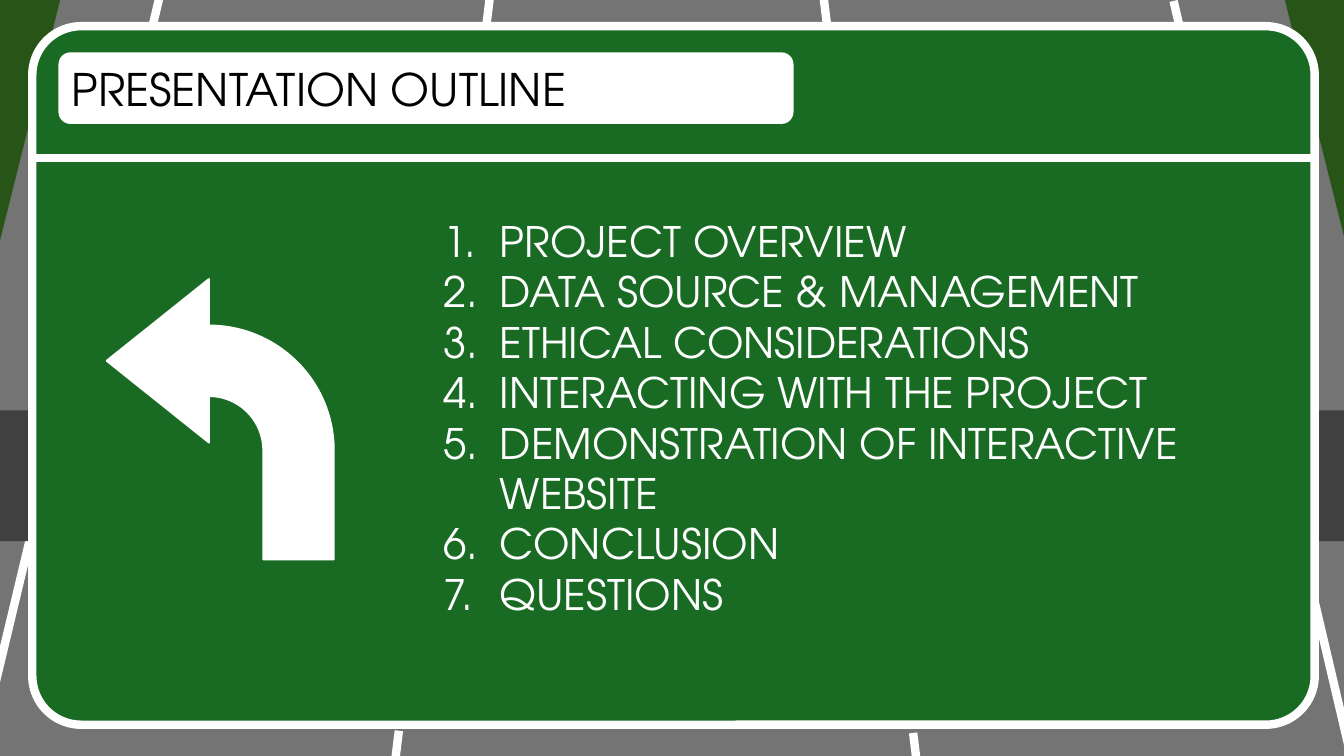
"""Builds the presentation outline slide: a green road sign above a highway."""
import lxml.etree
import pptx
import pptx.dml.color
import pptx.enum.shapes
import pptx.enum.text
import pptx.oxml.ns
import pptx.util

SHAPES = pptx.enum.shapes.MSO_SHAPE
WHITE = "FFFFFF"
FONT = "TeX Gyre Adventor"

deck = pptx.Presentation()
deck.slide_width = pptx.util.Inches(13.33)
deck.slide_height = pptx.util.Inches(7.5)
slide = deck.slides.add_slide(deck.slide_layouts[6])
across, down = deck.slide_width / 100, deck.slide_height / 100


def paint(format_part, color):
    """Give a fill, line fill or font fill one solid hex colour."""
    format_part.solid()
    format_part.fore_color.rgb = pptx.dml.color.RGBColor.from_string(color)


def add_panel(kind, left, top, width, height, color, outline=0, adjustments=()):
    """Add a preset shape, placed in percent of the slide."""
    panel = slide.shapes.add_shape(
        kind, int(left * across), int(top * down), int(width * across), int(height * down))
    panel.shadow.inherit = False
    paint(panel.fill, color)
    if outline:
        paint(panel.line.fill, WHITE)
        panel.line.width = pptx.util.Pt(outline)
    else:
        panel.line.fill.background()
    for index, share in enumerate(adjustments):
        panel.adjustments[index] = share
    return panel


add_panel(SHAPES.RECTANGLE, 0, 0, 100, 100, "275417")
add_panel(SHAPES.TRAPEZOID, -9.6, -0.27, 119.28, 100.4, "747474", adjustments=[0.25])

lane_edges = [(11.85, -0.27, -1.65, 100.13, False), (87.32, 0.13, 100.53, 100.13, False)]
lane_dashes = [(36.46, -0.53, 29.41, 100.53, True), (61.29, -0.27, 68.19, 100.53, True)]
sign_rule = (2.33, 20.93, 97.67, 20.93, False)
for stripe in lane_edges + lane_dashes + [sign_rule]:
    if stripe == sign_rule:
        add_panel(SHAPES.RECTANGLE, -8.18, 54.27, 114.33, 17.33, "404040")
        add_panel(SHAPES.ROUNDED_RECTANGLE, 2.4, 3.47, 95.42, 92.4, "196B24", 6, [0.07])
    x1, y1, x2, y2, dashed = stripe
    line = slide.shapes.add_connector(
        pptx.enum.shapes.MSO_CONNECTOR.STRAIGHT,
        int(x1 * across), int(y1 * down), int(x2 * across), int(y2 * down))
    paint(line.line.fill, WHITE)
    line.line.width = pptx.util.Pt(6)
    if dashed:
        line.line.dash_style = pptx.enum.dml.MSO_LINE.LONG_DASH
    lxml.etree.SubElement(line._element.spPr, pptx.oxml.ns.qn("a:effectLst"))

heading = add_panel(SHAPES.ROUNDED_RECTANGLE, 4.35, 6.93, 54.69, 9.47, WHITE)
heading.text_frame.auto_size = pptx.enum.text.MSO_AUTO_SIZE.SHAPE_TO_FIT_TEXT
heading_line = heading.text_frame.paragraphs[0]
heading_line.alignment = pptx.enum.text.PP_ALIGN.JUSTIFY
heading_run = heading_line.add_run()
heading_run.text = "PRESENTATION OUTLINE"
heading_run.font.name = FONT
heading_run.font.size = pptx.util.Pt(32)
paint(heading_run.font.fill, "000000")

topics = [
    "PROJECT OVERVIEW",
    "DATA SOURCE & MANAGEMENT",
    "ETHICAL CONSIDERATIONS",
    "INTERACTING WITH THE PROJECT",
    "DEMONSTRATION OF INTERACTIVE WEBSITE",
    "CONCLUSION",
    "QUESTIONS",
]
outline = slide.shapes.add_textbox(
    int(32.26 * across), int(27.87 * down), int(62.49 * across), int(55.2 * down)).text_frame
outline.word_wrap = True
outline.auto_size = pptx.enum.text.MSO_AUTO_SIZE.SHAPE_TO_FIT_TEXT
indent = pptx.util.Inches(0.56)
for number, topic in enumerate(topics):
    entry = outline.add_paragraph() if number else outline.paragraphs[0]
    settings = entry._p.get_or_add_pPr()
    settings.set("marL", str(indent))
    settings.set("indent", str(-indent))
    lxml.etree.SubElement(settings, pptx.oxml.ns.qn("a:buAutoNum"), type="arabicPeriod")
    topic_run = entry.add_run()
    topic_run.text = topic
    topic_run.font.name = FONT
    topic_run.font.size = pptx.util.Pt(30)
    paint(topic_run.font.fill, WHITE)

turn_arrow = add_panel(
    SHAPES.BENT_ARROW, 7.95, 36.93, 16.88, 37.07, WHITE, 1.5, [0.31, 0.36, 0.45, 0.6])
turn_arrow._element.spPr.xfrm.set("flipH", "1")

deck.save("out.pptx")
